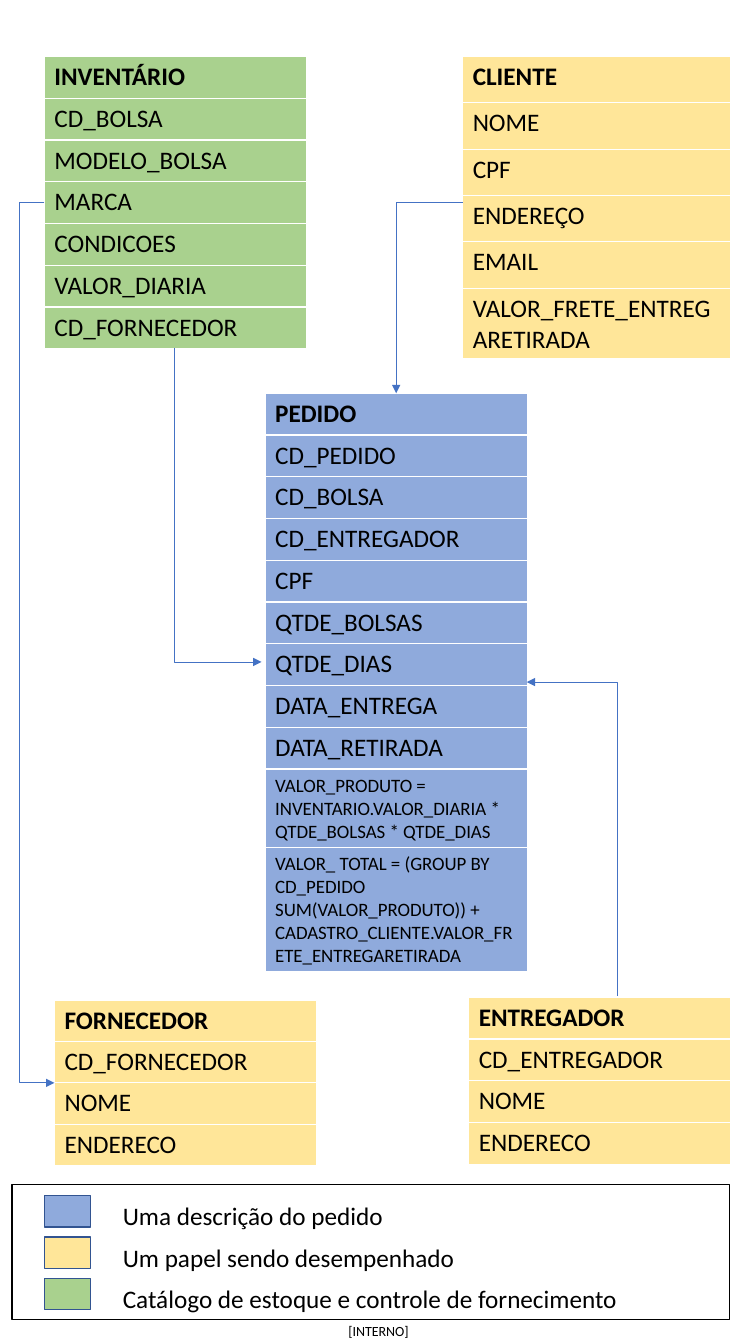
import pptx
import pptx.util
import pptx.dml.color
import pptx.enum.shapes
import pptx.enum.text
import pptx.oxml
import pptx.oxml.ns

Inches, Pt = pptx.util.Inches, pptx.util.Pt
RGBColor = pptx.dml.color.RGBColor
MSO_SHAPE = pptx.enum.shapes.MSO_SHAPE
qn = pptx.oxml.ns.qn

BLACK = RGBColor(0x00, 0x00, 0x00)
GREEN = RGBColor(0xA9, 0xD1, 0x8E)
YELLOW = RGBColor(0xFF, 0xE6, 0x99)
BLUE = RGBColor(0x8F, 0xAA, 0xDC)
SWATCH_LINE = RGBColor(0x32, 0x54, 0x91)
ARROW = RGBColor(0x44, 0x72, 0xC4)


def style_text(p, size=18, bold=False):
    p.font.name = "Calibri"
    p.font.size = Pt(size)
    p.font.bold = bold
    p.font.color.rgb = BLACK


def add_entity(slide, box, color, fields, tall_rows=(), tall_size=18):
    """Entity table: tall_rows are the heights of the last rows; the others share the rest."""
    x, y, w, h = box
    table = slide.shapes.add_table(len(fields), 1, *map(Inches, box)).table
    table.horz_banding = False
    plain = len(fields) - len(tall_rows)
    heights = [(h - sum(tall_rows)) / plain] * plain + list(tall_rows)
    for i, (field, height) in enumerate(zip(fields, heights)):
        table.rows[i].height = Inches(height)
        cell = table.cell(i, 0)
        cell.fill.solid()
        cell.fill.fore_color.rgb = color
        p = cell.text_frame.paragraphs[0]
        p.text = field
        style_text(p, 18 if i < plain else tall_size, bold=i == 0)


def add_link(slide, box, preset, rot, flips, adj=None):
    """Bent arrow; box is the frame before rotation."""
    x, y, w, h = box
    c = slide.shapes.add_connector(
        pptx.enum.shapes.MSO_CONNECTOR.ELBOW,
        Inches(x), Inches(y), Inches(x + w), Inches(y + h))
    c.line.color.rgb = ARROW
    c.line.width = Pt(0.5)
    spPr = c._element.spPr
    xfrm = spPr.find(qn("a:xfrm"))
    xfrm.set("rot", str(rot * 60000))
    for flip in flips:
        xfrm.set("flip" + flip, "1")
    geom = spPr.find(qn("a:prstGeom"))
    geom.set("prst", preset)
    if adj is not None:
        gd = pptx.oxml.ns.nsdecls("a")
        geom.find(qn("a:avLst")).append(pptx.oxml.parse_xml(
            f'<a:gd {gd} name="adj1" fmla="val {round(adj * 100000)}"/>'))
    tail = pptx.oxml.parse_xml(
        f'<a:tailEnd {pptx.oxml.ns.nsdecls("a")} type="triangle"/>')
    spPr.find(qn("a:ln")).append(tail)
    spPr.append(pptx.oxml.parse_xml(
        f'<a:effectLst {pptx.oxml.ns.nsdecls("a")}/>'))


def add_rect(slide, box, line, fill=None):
    sp = slide.shapes.add_shape(MSO_SHAPE.RECTANGLE, *map(Inches, box))
    sp.shadow.inherit = False
    sp.line.color.rgb = line
    sp.line.width = Pt(1)
    if fill is None:
        sp.fill.background()
    else:
        sp.fill.solid()
        sp.fill.fore_color.rgb = fill


def add_text(slide, box, text, size=18):
    tf = slide.shapes.add_textbox(*map(Inches, box)).text_frame
    tf.word_wrap = False
    p = tf.paragraphs[0]
    p.text = text
    style_text(p, size)
    return tf


def add_legend(slide, box, entries):
    x, y, w, h = box
    pitch = 0.41
    for i, (color, label) in enumerate(entries):
        top = y + 0.11 + i * pitch
        add_rect(slide, (x + 0.32, top, 0.46, 0.31), SWATCH_LINE, color)
        add_text(slide, (x + 1, top, w - 1.2, 0.4), label)
    add_rect(slide, box, BLACK)


def add_footer(slide, box, text):
    tf = add_text(slide, box, text, 10)
    tf.margin_left = tf.margin_right = tf.margin_top = tf.margin_bottom = 0
    tf.vertical_anchor = pptx.enum.text.MSO_ANCHOR.MIDDLE
    tf.paragraphs[0].alignment = pptx.enum.text.PP_ALIGN.CENTER


prs = pptx.Presentation()
prs.slide_width, prs.slide_height = Inches(7.5), Inches(13.33)
s = prs.slides.add_slide(prs.slide_layouts[6])

add_footer(s, (3.3, 13.05, 0.91, 0.29), "[INTERNO]")

# Entities
add_entity(s, (0.44, 0.56, 2.6, 2.9), GREEN, [
    "INVENTÁRIO", "CD_BOLSA", "MODELO_BOLSA", "MARCA", "CONDICOES",
    "VALOR_DIARIA", "CD_FORNECEDOR"])
add_entity(s, (4.59, 0.56, 2.66, 2.99), YELLOW, [
    "CLIENTE", "NOME", "CPF", "ENDEREÇO", "EMAIL",
    "VALOR_FRETE_ENTREGARETIRADA"], tall_rows=[0.69])
add_entity(s, (2.63, 3.9, 2.6, 5.73), BLUE, [
    "PEDIDO", "CD_PEDIDO", "CD_BOLSA", "CD_ENTREGADOR", "CPF", "QTDE_BOLSAS",
    "QTDE_DIAS", "DATA_ENTREGA", "DATA_RETIRADA",
    "VALOR_PRODUTO = INVENTARIO.VALOR_DIARIA * QTDE_BOLSAS * QTDE_DIAS",
    "VALOR_ TOTAL = (GROUP BY CD_PEDIDO SUM(VALOR_PRODUTO)) + "
    "CADASTRO_CLIENTE.VALOR_FRETE_ENTREGARETIRADA"],
    tall_rows=[0.77, 1.23], tall_size=13.5)
add_entity(s, (4.65, 9.89, 2.6, 1.66), YELLOW, [
    "ENTREGADOR", "CD_ENTREGADOR", "NOME", "ENDERECO"])
add_entity(s, (0.54, 9.92, 2.6, 1.64), YELLOW, [
    "FORNECEDOR", "CD_FORNECEDOR", "NOME", "ENDERECO"])

# Links: entregador, inventário and cliente to pedido; inventário to fornecedor
add_link(s, (4.12, 7.87, 3.11, 0.9), "bentConnector2", 270, "V")
add_link(s, (0.61, 4.58, 3.11, 0.86), "bentConnector3", 270, "H", adj=1)
add_link(s, (3.93, 2.01, 0.66, 1.89), "bentConnector2", 180, "V")
add_link(s, (0.44, 2.01, 0.1, 8.73), "bentConnector3", 180, "HV", adj=-2.5)

# Legend
add_legend(s, (0.12, 11.75, 7.12, 1.34), [
    (BLUE, "Uma descrição do pedido"),
    (YELLOW, "Um papel sendo desempenhado"),
    (GREEN, "Catálogo de estoque e controle de fornecimento")])

prs.save("out.pptx")
